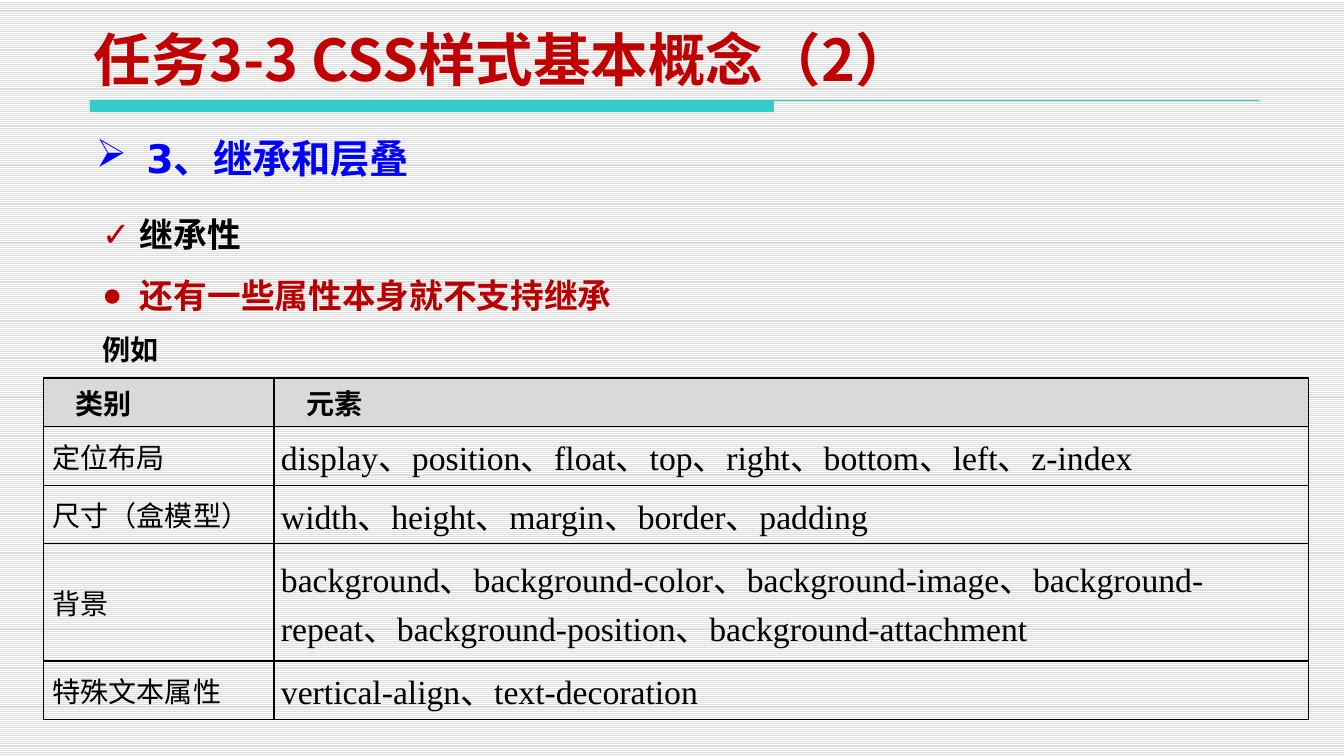
import pptx
import pptx.dml.color
import pptx.enum.dml
import pptx.enum.shapes
import pptx.enum.text
import pptx.oxml
import pptx.oxml.ns
import pptx.util

Pt = pptx.util.Pt
RGBColor = pptx.dml.color.RGBColor
qn = pptx.oxml.ns.qn
ANCHOR = pptx.enum.text.MSO_ANCHOR
ALIGN = pptx.enum.text.PP_ALIGN

TITLE_RED = RGBColor(0xC0, 0x00, 0x00)
LIST_RED = RGBColor(0xB9, 0x00, 0x00)
HEADING_BLUE = RGBColor(0x00, 0x00, 0xFF)
RULE_TEAL = RGBColor(0x33, 0xCC, 0xCC)
HEADER_GREY = RGBColor(0xD9, 0xD9, 0xD9)
STRIPE_GREY = RGBColor(0xDD, 0xDD, 0xDD)
BLACK = RGBColor(0x00, 0x00, 0x00)
WHITE = RGBColor(0xFF, 0xFF, 0xFF)

CJK_FONT = "Noto Sans CJK SC"

LIST_ITEMS = [
    # text, size, colour, bullet
    ("继承性", 24, BLACK, "✓"),
    ("还有一些属性本身就不支持继承", 24, LIST_RED, "●"),
    ("例如", 20, BLACK, None),
]
HEADER = ("类别", "元素")
PROPERTIES = [
    ("定位布局", "display、position、float、top、right、bottom、left、z-index"),
    ("尺寸（盒模型）", "width、height、margin、border、padding"),
    ("背景", "background、background-color、background-image、background-repeat、"
           "background-position、background-attachment"),
    ("特殊文本属性", "vertical-align、text-decoration"),
]
COLUMN_WIDTHS = (164.2, 737.3)
ROW_HEIGHTS = (34.6, 41.8, 41.8, 83.5, 41.8)


def add_xml(parent, tag, **attributes):
    child = pptx.oxml.parse_xml(f"<{tag} {pptx.oxml.ns.nsdecls('a')}/>")
    for name, value in attributes.items():
        child.set(name, str(value))
    parent.append(child)
    return child


def format_paragraph(paragraph, size, colour, font, bold=True):
    for run in paragraph.runs:
        run.font.size = Pt(size)
        run.font.bold = bold
        run.font.name = font
        run.font.color.rgb = colour
        add_xml(run.font._element, "a:ea", typeface=CJK_FONT)


def indent(paragraph, left, first):
    properties = paragraph._p.get_or_add_pPr()
    properties.set("marL", str(Pt(left)))
    properties.set("indent", str(Pt(first)))
    return properties


def set_bullet(paragraph, bullet, colour, hanging):
    """Give the paragraph a hanging bullet, or none at all."""
    if bullet is None:
        add_xml(indent(paragraph, 0, 0), "a:buNone")
        return
    properties = indent(paragraph, hanging, -hanging)
    add_xml(add_xml(properties, "a:buClr"), "a:srgbClr", val=colour)
    add_xml(properties, "a:buChar", char=bullet)


def place(shape, left, top, width, height):
    shape.left, shape.top = Pt(left), Pt(top)
    shape.width, shape.height = Pt(width), Pt(height)


def set_frame(frame, anchor, side_margin):
    frame.word_wrap = True
    frame.auto_size = pptx.enum.text.MSO_AUTO_SIZE.NONE
    frame.vertical_anchor = anchor
    frame.margin_left = frame.margin_right = Pt(side_margin)
    frame.margin_top = frame.margin_bottom = Pt(3.6)


def paint_background(slide):
    fill = slide.background.fill
    fill.patterned()
    fill.pattern = pptx.enum.dml.MSO_PATTERN.LIGHT_HORIZONTAL
    fill.fore_color.rgb = STRIPE_GREY
    fill.back_color.rgb = WHITE


def add_title_rule(slide):
    left, top = 64.1, 71.3
    bar = slide.shapes.add_shape(pptx.enum.shapes.MSO_SHAPE.RECTANGLE,
                                 Pt(left), Pt(top), Pt(487.4), Pt(8.6))
    bar.shadow.inherit = False
    bar.fill.solid()
    bar.fill.fore_color.rgb = RULE_TEAL
    bar.line.fill.background()
    rule = slide.shapes.add_connector(pptx.enum.shapes.MSO_CONNECTOR.STRAIGHT,
                                      Pt(left), Pt(top), Pt(897.1), Pt(top))
    rule.line.color.rgb = RULE_TEAL
    rule.line.width = Pt(0.75)
    add_xml(rule._element.spPr, "a:effectLst")


def fill_title(title):
    place(title, 59, 20.2, 697.7, 49.7)
    set_frame(title.text_frame, ANCHOR.BOTTOM, 7.9)
    title.text_frame.text = "任务3-3 CSS样式基本概念（2）"
    paragraph = title.text_frame.paragraphs[0]
    paragraph.alignment = ALIGN.LEFT
    format_paragraph(paragraph, 41, TITLE_RED, CJK_FONT)


def add_heading(slide):
    heading = slide.shapes.add_textbox(Pt(60.5), Pt(92.2), Pt(612), Pt(41.8))
    set_frame(heading.text_frame, ANCHOR.TOP, 7.9)
    heading.text_frame.text = "3、继承和层叠"
    paragraph = heading.text_frame.paragraphs[0]
    paragraph.alignment = ALIGN.JUSTIFY
    format_paragraph(paragraph, 28, HEADING_BLUE, "DejaVu Sans")
    set_bullet(paragraph, "➢", HEADING_BLUE, 36)


def fill_list(body):
    place(body, 65.5, 134.6, 866.9, 125.3)
    set_frame(body.text_frame, ANCHOR.TOP, 7.2)
    body.text_frame.text = "\n".join(item[0] for item in LIST_ITEMS)
    for paragraph, (_, size, colour, bullet) in zip(body.text_frame.paragraphs, LIST_ITEMS):
        paragraph.line_spacing = 1.5
        paragraph.space_before = Pt(0)
        format_paragraph(paragraph, size, colour, CJK_FONT)
        set_bullet(paragraph, bullet, LIST_RED, 27)


def add_borders(cell):
    properties = cell._tc.get_or_add_tcPr()
    for position, side in enumerate(("lnL", "lnR", "lnT", "lnB")):
        border = add_xml(properties, f"a:{side}", w=Pt(1))
        add_xml(add_xml(border, "a:solidFill"), "a:srgbClr", val=BLACK)
        properties.insert(position, border)


def fill_cell(cell, text, size, font, first_indent, header):
    cell.text = text
    cell.vertical_anchor = ANCHOR.MIDDLE
    cell.margin_left = cell.margin_right = Pt(5)
    cell.margin_top = cell.margin_bottom = Pt(0)
    paragraph = cell.text_frame.paragraphs[0]
    indent(paragraph, 0, first_indent)
    format_paragraph(paragraph, size, BLACK, font, bold=header)
    if header:
        cell.fill.solid()
        cell.fill.fore_color.rgb = HEADER_GREY
    else:
        cell.fill.background()
    add_borders(cell)


def add_property_table(slide):
    table = slide.shapes.add_table(
        len(ROW_HEIGHTS), len(COLUMN_WIDTHS), Pt(31), Pt(269.3),
        Pt(sum(COLUMN_WIDTHS)), Pt(sum(ROW_HEIGHTS))).table
    table.first_row = table.horz_banding = False
    for column, width in zip(table.columns, COLUMN_WIDTHS):
        column.width = Pt(width)
    for row, height in zip(table.rows, ROW_HEIGHTS):
        row.height = Pt(height)
    for column, label in enumerate(HEADER):
        fill_cell(table.cell(0, column), label, 20, "Calibri", 18, True)
    for row, (category, names) in enumerate(PROPERTIES, start=1):
        fill_cell(table.cell(row, 0), category, 20, "Times New Roman", 1.4, False)
        fill_cell(table.cell(row, 1), names, 24, "Times New Roman", 0, False)


def main():
    presentation = pptx.Presentation()
    presentation.slide_width, presentation.slide_height = Pt(957.6), Pt(538.6)
    slide = presentation.slides.add_slide(presentation.slide_layouts[1])
    paint_background(slide)
    add_title_rule(slide)
    fill_title(slide.shapes.title)
    add_heading(slide)
    fill_list(slide.placeholders[1])
    add_property_table(slide)
    presentation.save("out.pptx")


if __name__ == "__main__":
    main()
